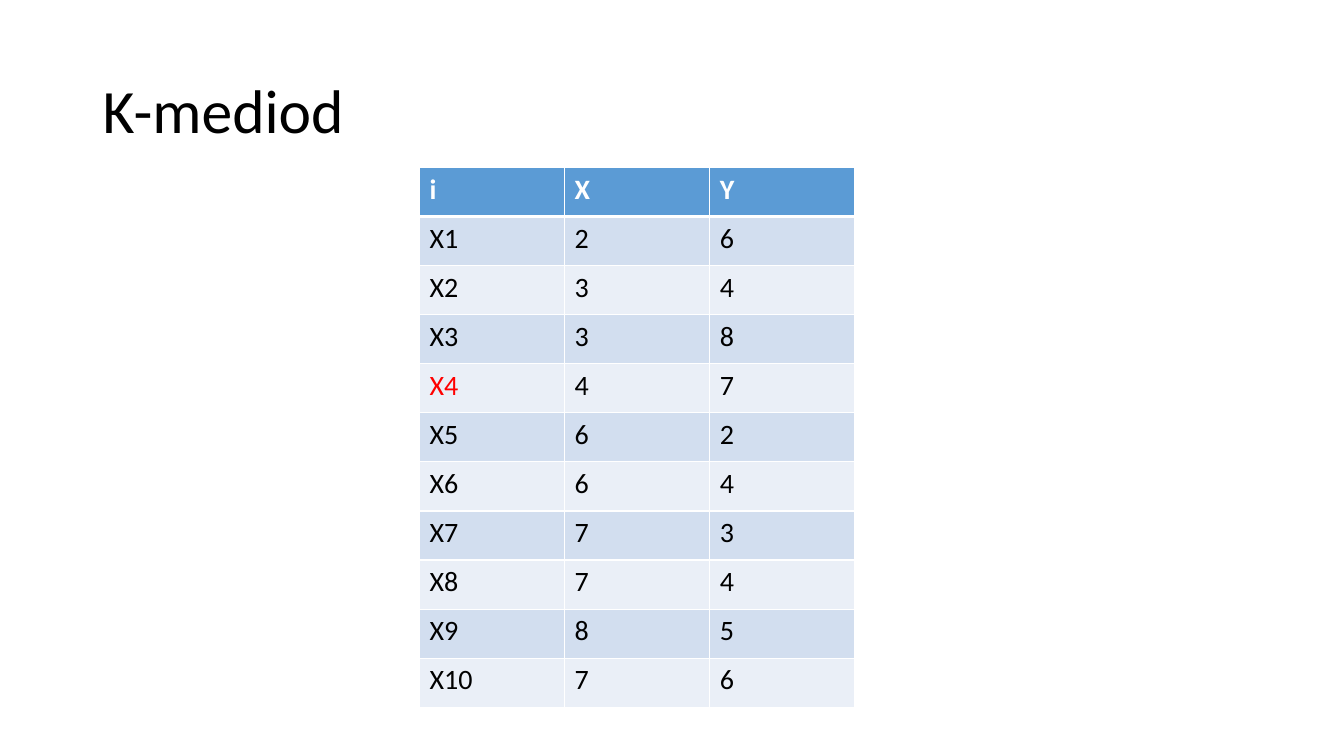
from pptx import Presentation
from pptx.dml.color import RGBColor
from pptx.enum.text import MSO_ANCHOR
from pptx.oxml import parse_xml
from pptx.oxml.ns import nsdecls
from pptx.util import Inches, Pt

MIDDLE = MSO_ANCHOR.MIDDLE
FONT = "Calibri"
BLACK = RGBColor(0x00, 0x00, 0x00)
WHITE = RGBColor(0xFF, 0xFF, 0xFF)
RED = RGBColor(0xFF, 0x00, 0x00)
HEADER_BLUE = RGBColor(0x5B, 0x9B, 0xD5)
BAND_DARK = RGBColor(0xD2, 0xDE, 0xEF)
BAND_LIGHT = RGBColor(0xEA, 0xEF, 0xF7)

HEADER = ("i", "X", "Y")
POINTS = [(2, 6), (3, 4), (3, 8), (4, 7), (6, 2),
          (6, 4), (7, 3), (7, 4), (8, 5), (7, 6)]
MEDOID = "X4"
COLUMN_WIDTH = Inches(1.44)
TABLE_HEIGHT = Inches(5.36)


def style_text(frame, size, color, bold=False):
    font = frame.paragraphs[0].runs[0].font
    font.name = FONT
    font.size = Pt(size)
    font.bold = bold
    font.color.rgb = color


def add_title(page, text):
    box = page.shapes.add_textbox(Inches(0.92), Inches(0.4), Inches(11.5), Inches(1.45))
    frame = box.text_frame
    frame.word_wrap = True
    frame.vertical_anchor = MIDDLE
    frame.text = text
    frame.paragraphs[0].line_spacing = 0.9
    style_text(frame, 44, BLACK)


def set_borders(cell, top, bottom):
    """Draw white cell borders; widths are in points."""
    properties = cell._tc.get_or_add_tcPr()
    widths = {"lnL": 1, "lnR": 1, "lnT": top, "lnB": bottom}
    for position, (side, width) in enumerate(widths.items()):
        properties.insert(position, parse_xml(
            f'<a:{side} {nsdecls("a")} w="{Pt(width)}"><a:solidFill>'
            f'<a:srgbClr val="{WHITE}"/></a:solidFill></a:{side}>'))


def add_point_table(page, rows):
    table = page.shapes.add_table(
        len(rows), len(HEADER), Inches(4.16), Inches(1.66),
        COLUMN_WIDTH * len(HEADER), TABLE_HEIGHT).table
    for column in table.columns:
        column.width = COLUMN_WIDTH
    for r, values in enumerate(rows):
        is_header = r == 0
        band = BAND_DARK if r % 2 else BAND_LIGHT
        for c, value in enumerate(values):
            cell = table.cell(r, c)
            cell.text_frame.text = str(value)
            color = WHITE if is_header else RED if value == MEDOID else BLACK
            style_text(cell.text_frame, 20, color, bold=is_header)
            cell.fill.solid()
            cell.fill.fore_color.rgb = HEADER_BLUE if is_header else band
            set_borders(cell, top=3 if r == 1 else 1, bottom=3 if is_header else 1)


def main():
    deck = Presentation()
    deck.slide_width = Inches(13.33)
    deck.slide_height = Inches(7.5)
    page = deck.slides.add_slide(deck.slide_layouts[6])

    add_title(page, "K-mediod")

    # Header row, then one numbered row per point
    rows = [HEADER] + [(f"X{i}", x, y) for i, (x, y) in enumerate(POINTS, start=1)]
    add_point_table(page, rows)

    deck.save("out.pptx")


if __name__ == "__main__":
    main()
